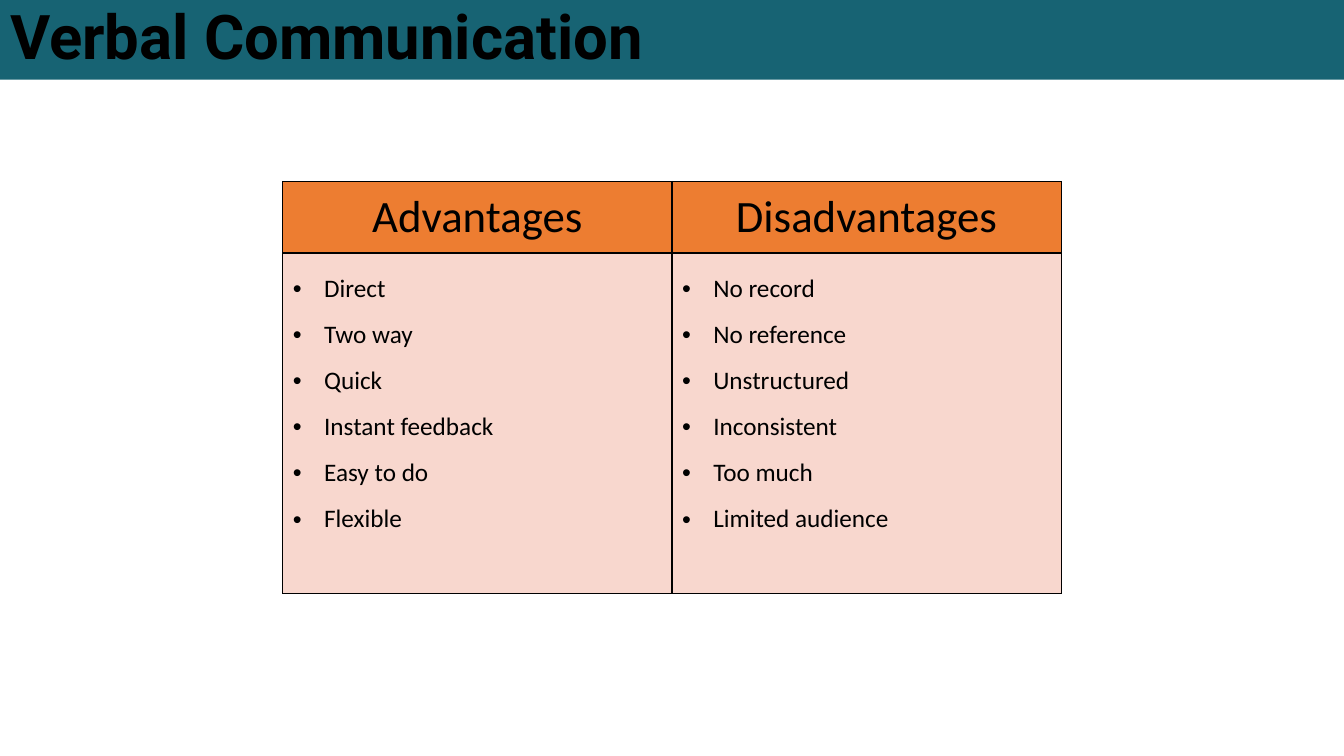
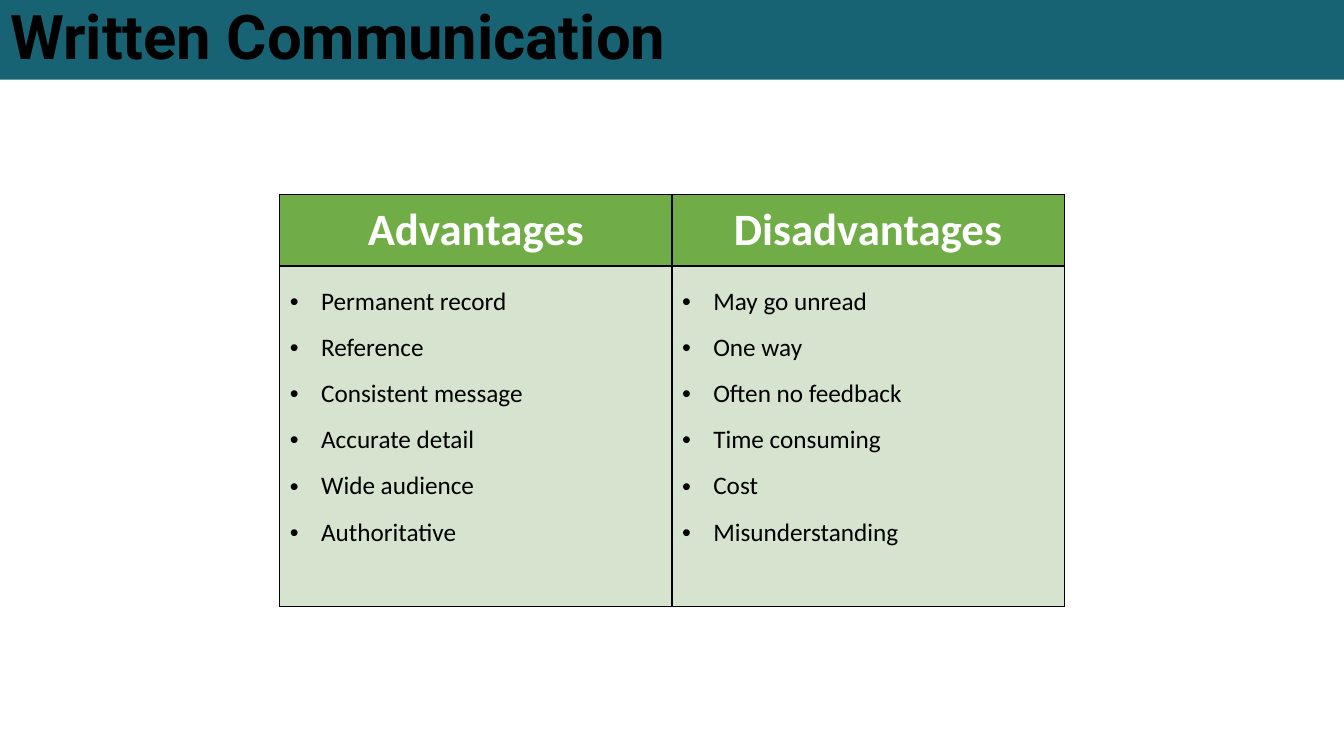
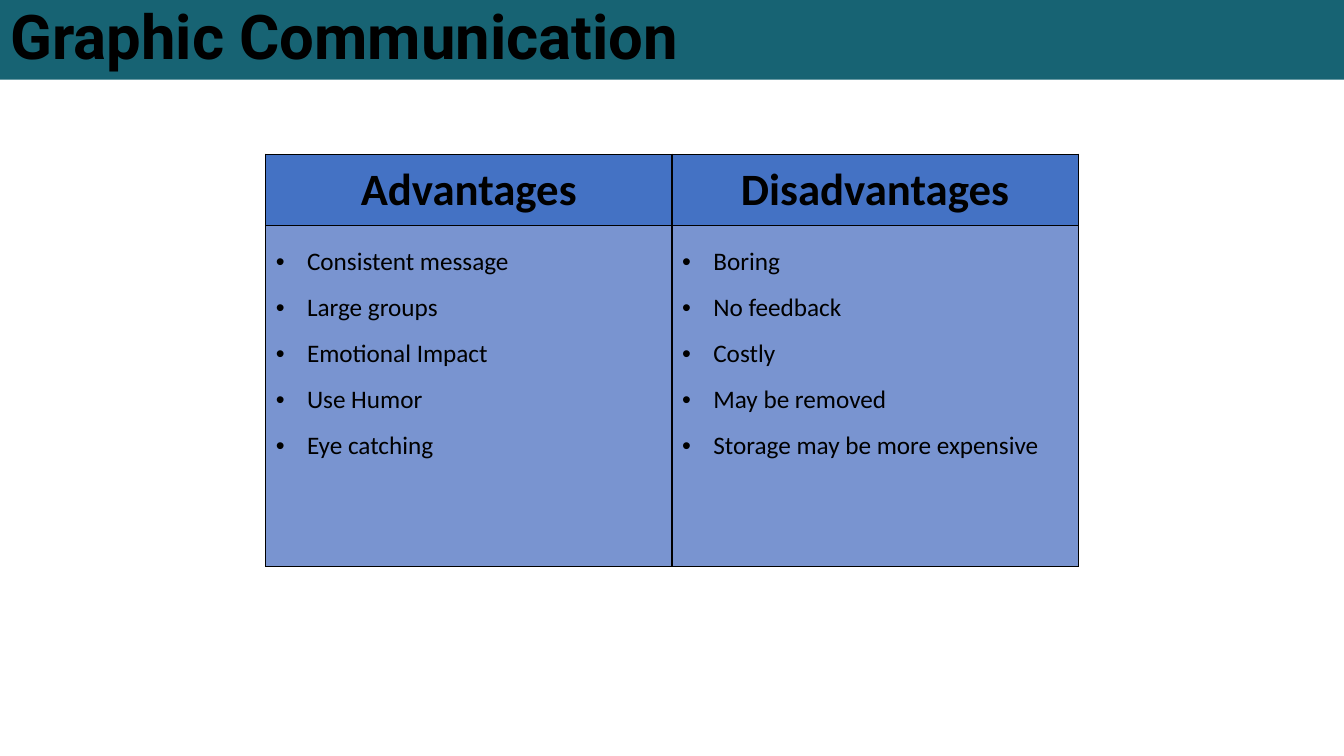
from lxml.etree import SubElement
from pptx import Presentation
from pptx.dml.color import RGBColor
from pptx.enum.text import MSO_ANCHOR as Anchor, MSO_AUTO_SIZE as AutoSize, PP_ALIGN as Align
from pptx.oxml.ns import qn
from pptx.util import Inches, Pt

BLACK = RGBColor(0x00, 0x00, 0x00)
WHITE = RGBColor(0xFF, 0xFF, 0xFF)
TEAL = RGBColor(0x17, 0x63, 0x73)
ORANGE = RGBColor(0xED, 0x7D, 0x31)
PALE_ORANGE = RGBColor(0xF8, 0xD7, 0xCE)
GREEN = RGBColor(0x70, 0xAD, 0x47)
PALE_GREEN = RGBColor(0xD5, 0xE3, 0xCF)
BLUE = RGBColor(0x44, 0x72, 0xC4)
SOFT_BLUE = RGBColor(0x79, 0x94, 0xD0)

SLIDE_WIDTH = 13.33
HEADINGS = ["Advantages", "Disadvantages"]

# title, table top, column width, header fill, header text colour, header bold, body fill, points
TOPICS = [
    ("Verbal Communication", 1.8, 3.86, ORANGE, BLACK, False, PALE_ORANGE, [
        ["Direct", "Two way", "Quick", "Instant feedback", "Easy to do", "Flexible"],
        ["No record", "No reference", "Unstructured", "Inconsistent", "Too much",
         "Limited audience"],
    ]),
    ("Written Communication", 1.93, 3.89, GREEN, WHITE, True, PALE_GREEN, [
        ["Permanent record", "Reference", "Consistent message", "Accurate detail",
         "Wide audience", "Authoritative"],
        ["May go unread", "One way", "Often no feedback", "Time consuming", "Cost",
         "Misunderstanding"],
    ]),
    ("Graphic Communication", 1.53, 4.03, BLUE, BLACK, True, SOFT_BLUE, [
        ["Consistent message", "Large groups", "Emotional Impact", "Use Humor", "Eye catching"],
        ["Boring", "No feedback", "Costly", "May be removed", "Storage may be more expensive"],
    ]),
]


def add_span(para, text, font, size, color, bold):
    span = para.add_run()
    span.text = text
    span.font.name = font
    span.font.size = Pt(size)
    span.font.color.rgb = color
    span.font.bold = bold


def style_cell(cell, color):
    """Give the cell thin black borders, then its fill."""
    properties = cell._tc.get_or_add_tcPr()
    for side in ("a:lnL", "a:lnR", "a:lnT", "a:lnB"):
        border = SubElement(properties, qn(side), w=str(Pt(1)))
        fill = SubElement(border, qn("a:solidFill"))
        SubElement(fill, qn("a:srgbClr"), val=str(BLACK))
    cell.fill.solid()
    cell.fill.fore_color.rgb = color


deck = Presentation()
deck.slide_width = Inches(SLIDE_WIDTH)
deck.slide_height = Inches(7.5)

for title, top, column_width, head_fill, head_color, head_bold, body_fill, points in TOPICS:
    page = deck.slides.add_slide(deck.slide_layouts[5])

    band = page.shapes.title
    band.left, band.top = Inches(0), Inches(0)
    band.width, band.height = Inches(SLIDE_WIDTH), Inches(0.79)
    band.fill.solid()
    band.fill.fore_color.rgb = TEAL
    band.text_frame.auto_size = AutoSize.NONE
    band.text_frame.vertical_anchor = Anchor.MIDDLE
    para = band.text_frame.paragraphs[0]
    para.alignment = Align.LEFT
    para.line_spacing = 0.9
    add_span(para, title, "Roboto", 44, BLACK, True)

    width = 2 * column_width
    table = page.shapes.add_table(
        2, 2, Inches((SLIDE_WIDTH - width) / 2), Inches(top), Inches(width), Inches(4.09)
    ).table
    table.rows[0].height = Inches(0.71)
    table.rows[1].height = Inches(3.38)

    for column, (heading, items) in enumerate(zip(HEADINGS, points)):
        table.columns[column].width = Inches(column_width)

        head = table.cell(0, column)
        style_cell(head, head_fill)
        head.vertical_anchor = Anchor.MIDDLE
        para = head.text_frame.paragraphs[0]
        para.alignment = Align.CENTER
        add_span(para, heading, "Calibri", 32, head_color, head_bold)

        body = table.cell(1, column)
        style_cell(body, body_fill)
        for index, item in enumerate(items):
            frame = body.text_frame
            para = frame.add_paragraph() if index else frame.paragraphs[0]
            para.alignment = Align.JUSTIFY
            para.line_spacing = 1.5
            layout = para._p.get_or_add_pPr()
            layout.set("marL", str(Inches(0.31)))
            layout.set("indent", str(-Inches(0.31)))
            SubElement(layout, qn("a:buFont"), typeface="Arial")
            SubElement(layout, qn("a:buChar"), char="•")
            add_span(para, item, "Calibri", 18, BLACK, False)

deck.save("out.pptx")
